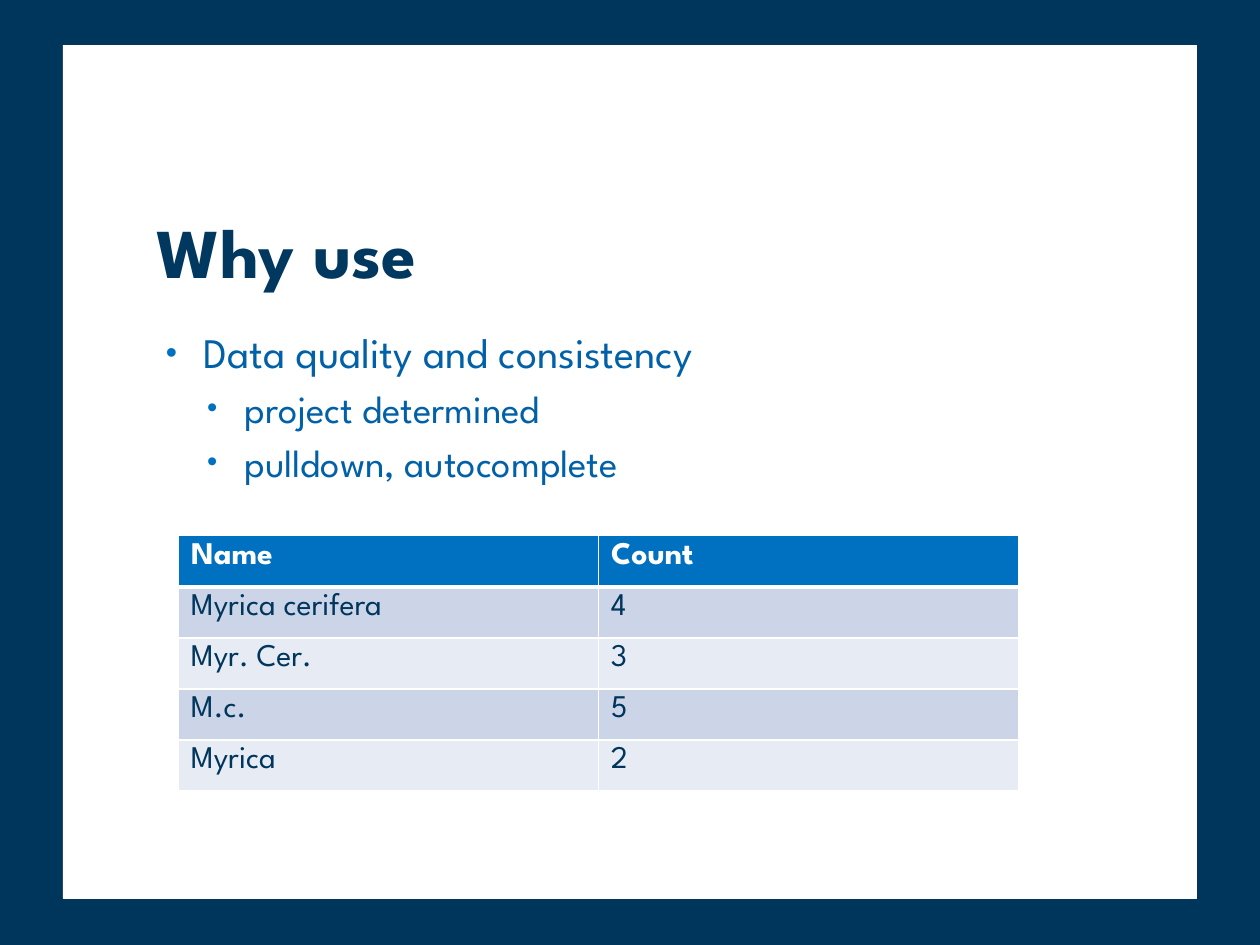
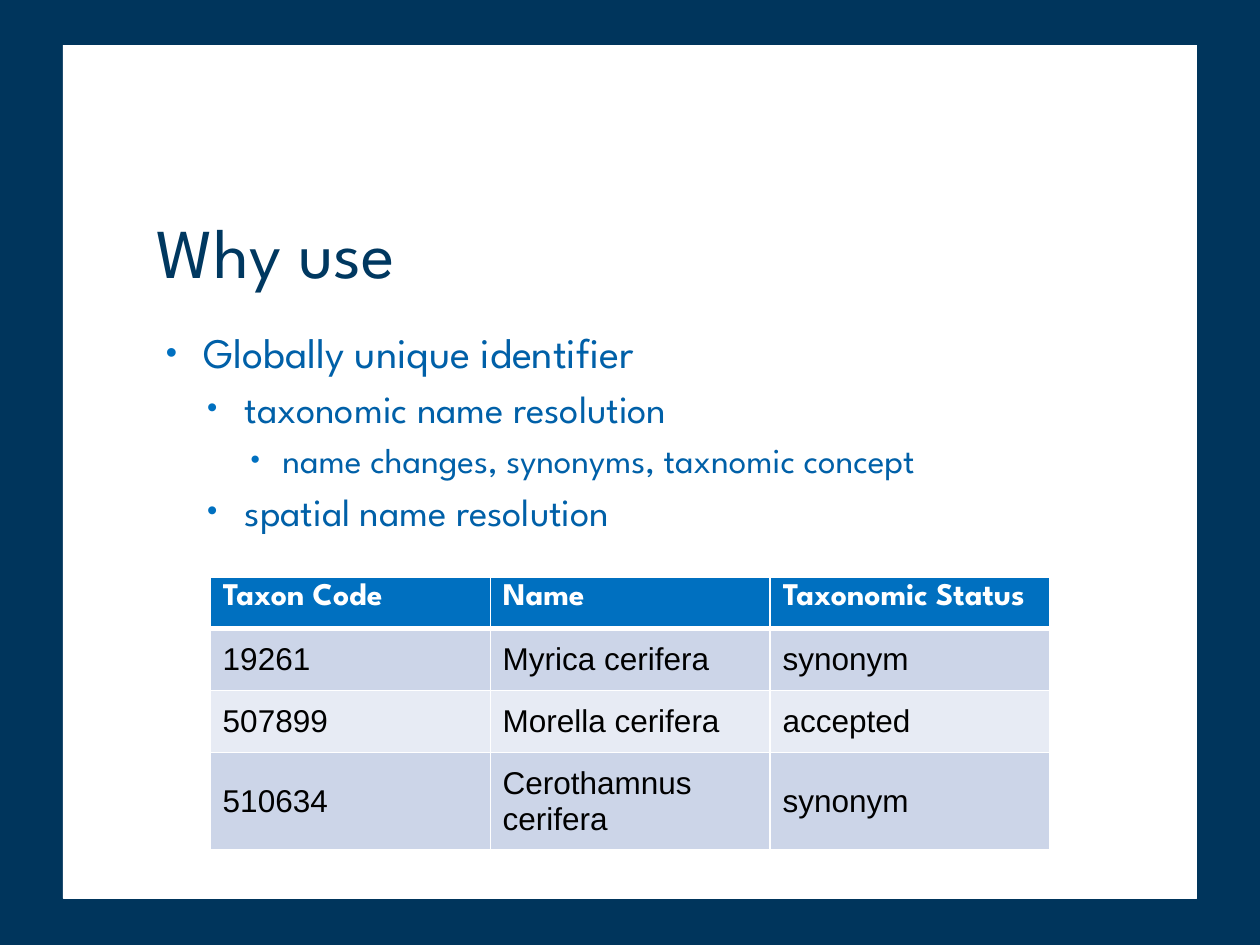
from lxml import etree
from pptx import Presentation
from pptx.dml.color import RGBColor
from pptx.enum.shapes import MSO_SHAPE
from pptx.enum.text import MSO_ANCHOR, MSO_AUTO_SIZE, PP_ALIGN
from pptx.oxml.ns import qn
from pptx.util import Cm, Pt

RECT = MSO_SHAPE.RECTANGLE
LEFT = PP_ALIGN.LEFT
TOP, MIDDLE, BOTTOM = MSO_ANCHOR.TOP, MSO_ANCHOR.MIDDLE, MSO_ANCHOR.BOTTOM
FIXED = MSO_AUTO_SIZE.NONE

NAVY = RGBColor(0x00, 0x35, 0x5C)
INK = RGBColor(0x00, 0x38, 0x60)
BLUE = RGBColor(0x00, 0x60, 0xA8)
ACCENT = RGBColor(0x00, 0x70, 0xC0)
BANDS = RGBColor(0xCC, 0xD5, 0xE8), RGBColor(0xE7, 0xEB, 0xF4)
WHITE = RGBColor(0xFF, 0xFF, 0xFF)
BLACK = RGBColor(0x00, 0x00, 0x00)

FONT = "League Spartan"
PLAIN = "Arial"
# Text size in points, left margin and hanging indent in cm, by list level
LEVELS = (24, 0.95, 0.76), (22, 1.78, 0.76), (20, 2.54, 0.64)
ROW = 1.03
WIDTH = 16.93


def place(shape, left, top, width, height):
    shape.left, shape.top = Cm(left), Cm(top)
    shape.width, shape.height = Cm(width), Cm(height)


def style(para, size, color, font=FONT, bold=False):
    for run in para.runs:
        run.font.name = font
        run.font.size = Pt(size)
        run.font.bold = bold
        run.font.color.rgb = color


def child(parent, tag, **attrs):
    node = etree.SubElement(parent, qn(tag))
    for key, value in attrs.items():
        node.set(key, str(value))
    return node


def add_panel(slide):
    """Put the white page behind everything else on the slide."""
    panel = slide.shapes.add_shape(RECT, Cm(1.27), Cm(0.91), Cm(22.86), Cm(17.2))
    panel.shadow.inherit = False
    panel.fill.solid()
    panel.fill.fore_color.rgb = WHITE
    panel.line.color.rgb = WHITE
    panel.line.width = Pt(0.5)
    slide.shapes.element.insert(2, panel.element)


def set_title(slide, text, bold):
    title = slide.shapes.title
    place(title, 2.9, 2.84, 19.51, 3.18)
    frame = title.text_frame
    frame.text = text
    frame.auto_size = FIXED
    frame.vertical_anchor = BOTTOM
    para = frame.paragraphs[0]
    para.alignment = LEFT
    style(para, 40, INK, bold=bold)


def set_bullet(para, margin, hang):
    props = para._p.get_or_add_pPr()
    props.set("marL", str(Cm(margin)))
    props.set("indent", str(-Cm(hang)))
    child(child(props, "a:spcBef"), "a:spcPct", val=20000)
    child(child(props, "a:buClr"), "a:srgbClr", val=ACCENT)
    child(props, "a:buSzPct", val=76000)
    child(props, "a:buFont", typeface=PLAIN)
    child(props, "a:buChar", char="•")


def set_list(slide, items):
    """Fill the body with (level, text) items."""
    body = slide.placeholders[1]
    place(body, 2.9, 6.46, 18.82, 9.75)
    frame = body.text_frame
    frame.text = "\n".join(text for _, text in items)
    frame.auto_size = FIXED
    for para, (level, _) in zip(frame.paragraphs, items):
        size, margin, hang = LEVELS[level]
        para.level = level
        set_bullet(para, margin, hang)
        style(para, size, BLUE)


def set_edges(cell, row):
    """Draw white cell borders, with a thick rule under the header."""
    widths = {"L": 1, "R": 1, "T": 3 if row == 1 else 1, "B": 3 if row == 0 else 1}
    props = cell._tc.get_or_add_tcPr()
    for side, width in widths.items():
        line = child(props, f"a:ln{side}", w=Pt(width))
        child(child(line, "a:solidFill"), "a:srgbClr", val=WHITE)


def add_grid(slide, left, top, rows, font=FONT, color=NAVY, anchor=TOP, pad=0.13):
    """Add a table; font, color, anchor and pad apply below the header."""
    count = len(rows[0])
    frame = slide.shapes.add_table(len(rows), count, Cm(left), Cm(top),
                                   Cm(WIDTH), Cm(ROW * len(rows)))
    table = frame.table
    for col in table.columns:
        col.width = Cm(WIDTH / count)
    for i, texts in enumerate(rows):
        table.rows[i].height = Cm(ROW)
        for j, text in enumerate(texts):
            cell = table.cell(i, j)
            cell.text = text
            set_edges(cell, i)
            cell.fill.solid()
            para = cell.text_frame.paragraphs[0]
            if i == 0:
                cell.fill.fore_color.rgb = ACCENT
                style(para, 18, WHITE, bold=True)
            else:
                cell.fill.fore_color.rgb = BANDS[(i - 1) % 2]
                cell.vertical_anchor = anchor
                cell.margin_left = cell.margin_right = Cm(0.25)
                cell.margin_top = cell.margin_bottom = Cm(pad)
                style(para, 18, color, font)


def add_page(deck, title, items, bold=False):
    slide = deck.slides.add_slide(deck.slide_layouts[1])
    add_panel(slide)
    set_title(slide, title, bold)
    set_list(slide, items)
    return slide


def main():
    deck = Presentation()
    deck.slide_width, deck.slide_height = Cm(25.4), Cm(19.05)
    back = deck.slide_master.background.fill
    back.solid()
    back.fore_color.rgb = NAVY

    slide = add_page(deck, "Why use", [
        (0, "Data quality and consistency"),
        (1, "project determined"),
        (1, "pulldown, autocomplete"),
    ], bold=True)
    add_grid(slide, 3.6, 10.8, [
        ("Name", "Count"),
        ("Myrica cerifera", "4"),
        ("Myr. Cer.", "3"),
        ("M.c.", "5"),
        ("Myrica", "2"),
    ])

    slide = add_page(deck, "Why use", [
        (0, "Globally unique identifier"),
        (1, "taxonomic name resolution"),
        (2, "name changes, synonyms, taxnomic concept"),
        (1, "spatial name resolution"),
    ])
    add_grid(slide, 4.24, 11.64, [
        ("Taxon Code", "Name", "Taxonomic Status"),
        ("19261", "Myrica cerifera", "synonym"),
        ("507899", "Morella cerifera", "accepted"),
        ("510634", "Cerothamnus cerifera", "synonym"),
    ], font=PLAIN, color=BLACK, anchor=MIDDLE, pad=0.27)

    deck.save("out.pptx")


if __name__ == "__main__":
    main()
